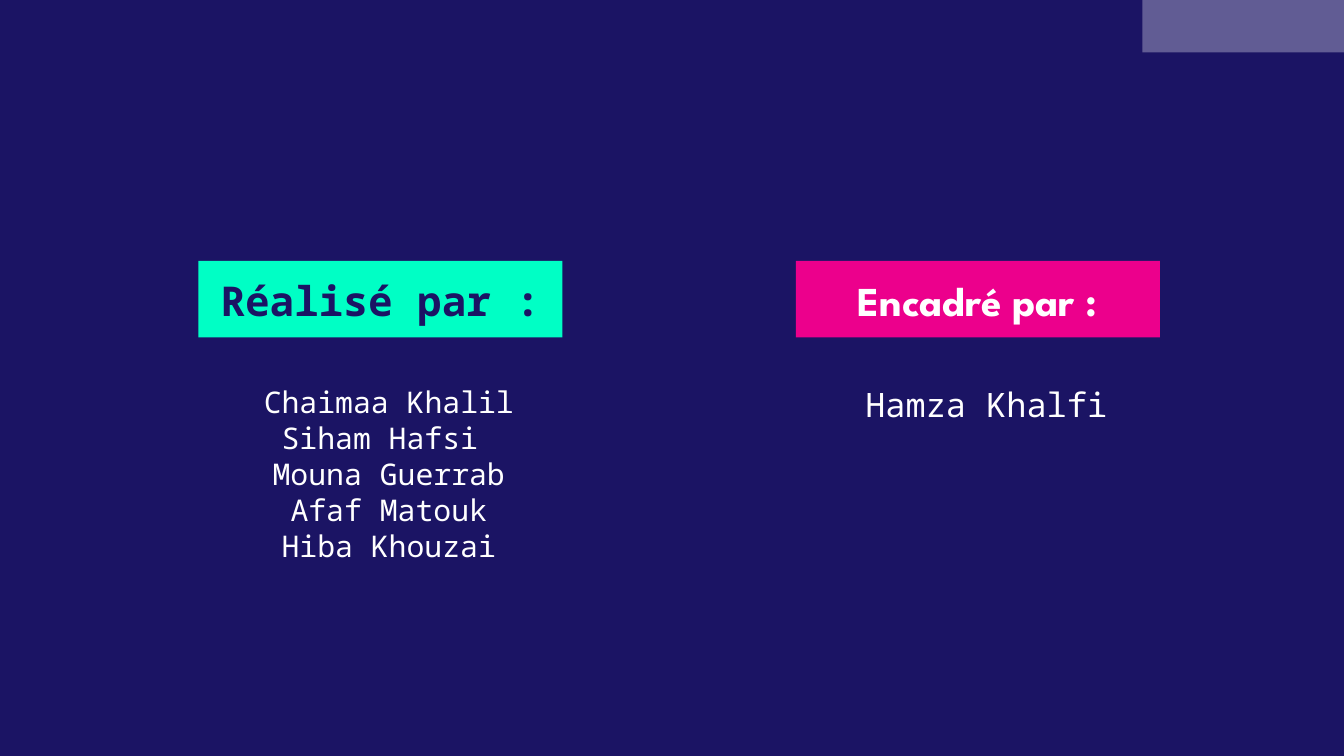
from lxml import etree
from pptx import Presentation
from pptx.dml.color import RGBColor
from pptx.enum.shapes import MSO_SHAPE
from pptx.enum.text import MSO_ANCHOR, PP_ALIGN
from pptx.oxml.ns import qn
from pptx.util import Cm, Pt

RECT = MSO_SHAPE.RECTANGLE
TOP, LOW = MSO_ANCHOR.TOP, MSO_ANCHOR.BOTTOM
MID = PP_ALIGN.CENTER
MONO = "Noto Sans Mono"
HUES = {"navy": "1B1464", "white": "FFFFFF", "mint": "00FFC5", "pink": "EC008C"}


def paint(fill, hue):
    fill.solid()
    fill.fore_color.rgb = RGBColor.from_string(HUES[hue])


def write(shape, lines, size, font=MONO, hue="white", bold=False, anchor=TOP, hang=False):
    frame = shape.text_frame
    frame.word_wrap = True
    frame.vertical_anchor = anchor
    frame.margin_left = frame.margin_right = Cm(0.25)
    frame.margin_top = frame.margin_bottom = Cm(0.25)
    frame.text = "\n".join(lines)
    for para in frame.paragraphs:
        para.alignment = MID
        para.font.size = Pt(size)
        para.font.name = font
        para.font.bold = bold
        para.font.color.rgb = RGBColor.from_string(HUES[hue])
        if hang:
            props = para._p.get_or_add_pPr()
            props.set("marL", str(Cm(1.27)))
            props.set("indent", str(Cm(-0.97)))


deck = Presentation()
deck.slide_width, deck.slide_height = Cm(25.4), Cm(14.29)
slide = deck.slides.add_slide(deck.slide_layouts[6])
paint(slide.background.fill, "navy")

band = slide.shapes.add_shape(RECT, Cm(21.59), 0, Cm(3.81), Cm(0.99))
band.shadow.inherit = False
band.line.fill.background()
paint(band.fill, "white")
tint = band._element.spPr.find(qn("a:solidFill"))[0]
etree.SubElement(tint, qn("a:alpha")).set("val", "31000")

team = ["Chaimaa Khalil", "Siham Hafsi ", "Mouna Guerrab", "Afaf Matouk", "Hiba Khouzai"]
groups = [
    (3.75, "Réalisé par :", MONO, "mint", "navy", team, 16, 4.04),
    (15.04, "Encadré par :", "League Spartan", "pink", "white", ["Hamza Khalfi"], 18, 1.47),
]
for left, title, font, back, ink, names, size, height in groups:
    head = slide.shapes.add_shape(RECT, Cm(left), Cm(4.93), Cm(6.88), Cm(1.45))
    head.shadow.inherit = False
    head.line.fill.background()
    paint(head.fill, back)
    write(head, [title], 22, font=font, hue=ink, bold=True, anchor=LOW)
    body = slide.shapes.add_textbox(Cm(left + 0.35), Cm(7.01), Cm(6.2), Cm(height))
    write(body, names, size, hang=True)

deck.save("out.pptx")
